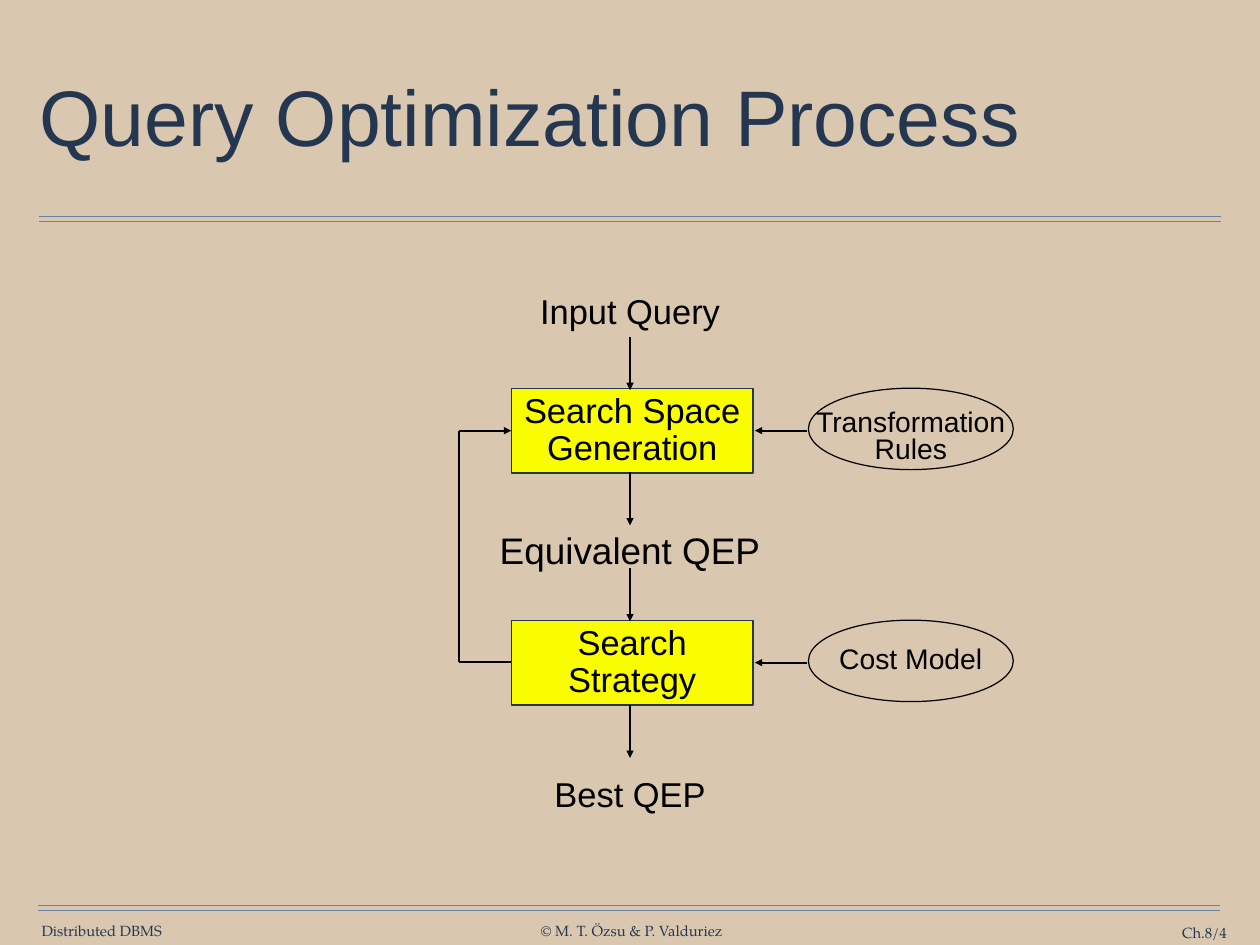
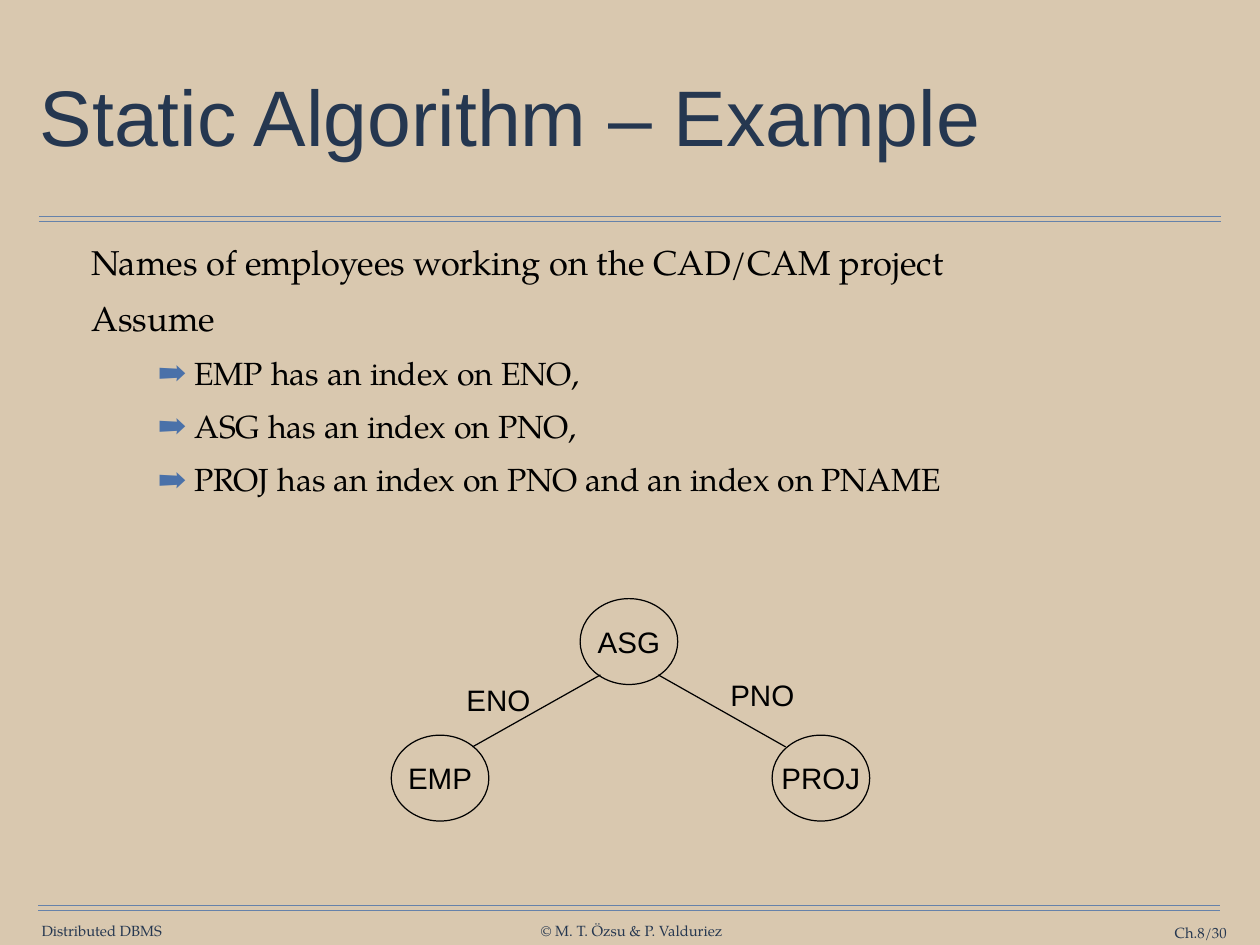
"""Build two lecture slides on query optimization."""
from lxml import etree
from pptx import Presentation
from pptx.dml.color import RGBColor
from pptx.enum.shapes import MSO_CONNECTOR, MSO_SHAPE
from pptx.enum.text import MSO_ANCHOR, MSO_AUTO_SIZE, PP_ALIGN
from pptx.oxml.ns import qn
from pptx.util import Pt

SAND = RGBColor(0xD9, 0xC8, 0xAF)
NAVY = RGBColor(0x25, 0x37, 0x50)
STEEL = RGBColor(0x66, 0x82, 0xAA)
YELLOW = RGBColor(0xFA, 0xFD, 0x00)
BLACK = RGBColor(0, 0, 0)
BULLET_BLUE = "4A71A9"
SANS, SERIF = "Arial", "TeX Gyre Pagella"
LEFT, CENTER, RIGHT = PP_ALIGN.LEFT, PP_ALIGN.CENTER, PP_ALIGN.RIGHT
MIDDLE, TOP = MSO_ANCHOR.MIDDLE, MSO_ANCHOR.TOP
NO_AUTOFIT = MSO_AUTO_SIZE.NONE
STRAIGHT = MSO_CONNECTOR.STRAIGHT
RECTANGLE, OVAL = MSO_SHAPE.RECTANGLE, MSO_SHAPE.OVAL


def write(shape, text, size, font=SANS, color=BLACK, align=CENTER, spacing=1.0, margin=0):
    frame = shape.text_frame
    frame.text = text
    frame.auto_size = NO_AUTOFIT
    frame.word_wrap = align != CENTER
    frame.vertical_anchor = MIDDLE
    frame.margin_left = frame.margin_right = Pt(margin)
    frame.margin_top = frame.margin_bottom = Pt(margin)
    for paragraph in frame.paragraphs:
        paragraph.alignment = align
        paragraph.line_spacing = spacing
        for run in paragraph.runs:
            run.font.name, run.font.size = font, Pt(size)
            run.font.color.rgb = color


def connect(slide, start, end, color=BLACK, width=1.5, arrow=True):
    connector = slide.shapes.add_connector(STRAIGHT, *map(Pt, start + end))
    connector.line.color.rgb = color
    connector.line.width = Pt(width)
    properties = connector._element.spPr
    if arrow:
        etree.SubElement(properties.find(qn("a:ln")), qn("a:tailEnd"), type="triangle")
    etree.SubElement(properties, qn("a:effectLst"))


deck = Presentation()
deck.slide_width, deck.slide_height = Pt(1024), Pt(768)
background = deck.slide_master.background.fill
background.solid()
background.fore_color.rgb = SAND

pages = [(5, "Query Optimization Process", "Ch.8/4"),
         (1, "Static Algorithm – Example", "Ch.8/30")]
for layout, heading, number in pages:
    slide = deck.slides.add_slide(deck.slide_layouts[layout])
    title = slide.shapes.title
    title.left, title.top, title.width, title.height = Pt(28), Pt(35), Pt(968), Pt(127)
    write(title, heading, 64, color=NAVY, align=LEFT, spacing=0.9, margin=4.3)
    for left, top in [(31.7, 175.7), (31, 735.8)]:
        for rule_y in (top, top + 4.3):
            connect(slide, (left, rule_y), (left + 960.3, rule_y), STEEL, 1, False)
    for text, left, top, width, align in [
            ("Distributed DBMS", 33.8, 749.5, 120, LEFT),
            ("© M. T. Özsu & P. Valduriez", 438.5, 749.5, 149.5, CENTER),
            (number, 886, 751, 111, RIGHT)]:
        footer = slide.shapes.add_textbox(Pt(left), Pt(top), Pt(width), Pt(14.4))
        write(footer, text, 12, SERIF, NAVY, align)

process, example = deck.slides

AXIS = 512
for text, middle, size in [("Input Query", 252.5, 28), ("Equivalent QEP", 447, 30),
                           ("Best QEP", 645, 28)]:
    stage = process.shapes.add_textbox(Pt(AXIS - 117), Pt(middle - 22), Pt(234), Pt(44))
    write(stage, text, size)

for top, step_text, support_text, drop in [
        (316, "Search Space\nGeneration", "Transformation\nRules", 15),
        (504.5, "Search\nStrategy", "Cost Model", 0)]:
    step = process.shapes.add_shape(RECTANGLE, Pt(415.5), Pt(top), Pt(196.5), Pt(68.4))
    step.fill.solid()
    step.fill.fore_color.rgb = YELLOW
    step.line.color.rgb = NAVY
    support = process.shapes.add_shape(OVAL, Pt(657), Pt(top - 0.5), Pt(166.5), Pt(66.2))
    support.fill.background()
    support.line.color.rgb = BLACK
    for shape in (step, support):
        shape.shadow.inherit = False
        shape.line.width = Pt(1)
    write(step, step_text, 28, spacing=0.9)
    write(support, support_text, 23, spacing=0.8)
    support.text_frame.margin_top = Pt(drop)
    connect(process, (656, top + 34), (613.5, top + 34))

for top in (274, 384, 462, 573):
    connect(process, (AXIS, top), (AXIS, top + 43))

feedback = [(415.5, 538), (373, 538), (373, 350), (415.5, 350)]
for start, end in zip(feedback, feedback[1:]):
    connect(process, start, end, arrow=end == feedback[-1])

assumptions = example.placeholders[1]
assumptions.left, assumptions.top = Pt(70), Pt(191.5)
assumptions.width, assumptions.height = Pt(802), Pt(256)
items = [("Names of employees working on the CAD/CAM project", 0),
         ("Assume", 0),
         ("EMP has an index on ENO,", 1),
         ("ASG has an index on PNO,", 1),
         ("PROJ has an index on PNO and an index on PNAME", 1)]
write(assumptions, "\n".join(text for text, level in items), 28, SERIF, align=LEFT, margin=4.3)
assumptions.text_frame.vertical_anchor = TOP
for paragraph, (text, level) in zip(assumptions.text_frame.paragraphs, items):
    paragraph.level = level
    paragraph.space_before = Pt(12)
    paragraph.runs[0].font.size = Pt(28 - 2 * level)
    properties = paragraph._p.get_or_add_pPr()
    properties.set("marL", str(Pt(83.5 if level else 29)))
    properties.set("indent", str(Pt(-29)))
    if level:
        bullet_color = etree.SubElement(properties, qn("a:buClr"))
        etree.SubElement(bullet_color, qn("a:srgbClr"), val=BULLET_BLUE)
        etree.SubElement(properties, qn("a:buSzPct"), val="85000")
        etree.SubElement(properties, qn("a:buChar"), char="➡")
    else:
        etree.SubElement(properties, qn("a:buNone"))

for text, left, top in [("ASG", 471.5, 486.5), ("EMP", 318, 597.5), ("PROJ", 627.5, 597.5)]:
    relation = example.shapes.add_shape(OVAL, Pt(left), Pt(top), Pt(79.3), Pt(69.8))
    relation.shadow.inherit = False
    relation.fill.background()
    relation.line.color.rgb = BLACK
    relation.line.width = Pt(1)
    write(relation, text, 24)

for text, left, top, start, end in [
        ("ENO", 368.5, 549.5, (384, 607), (488, 548.5)),
        ("PNO", 583, 545, (638.5, 607), (535, 548.5))]:
    connect(example, start, end, width=1, arrow=False)
    join_attribute = example.shapes.add_textbox(Pt(left), Pt(top), Pt(73), Pt(39))
    write(join_attribute, text, 24)

deck.save("out.pptx")
